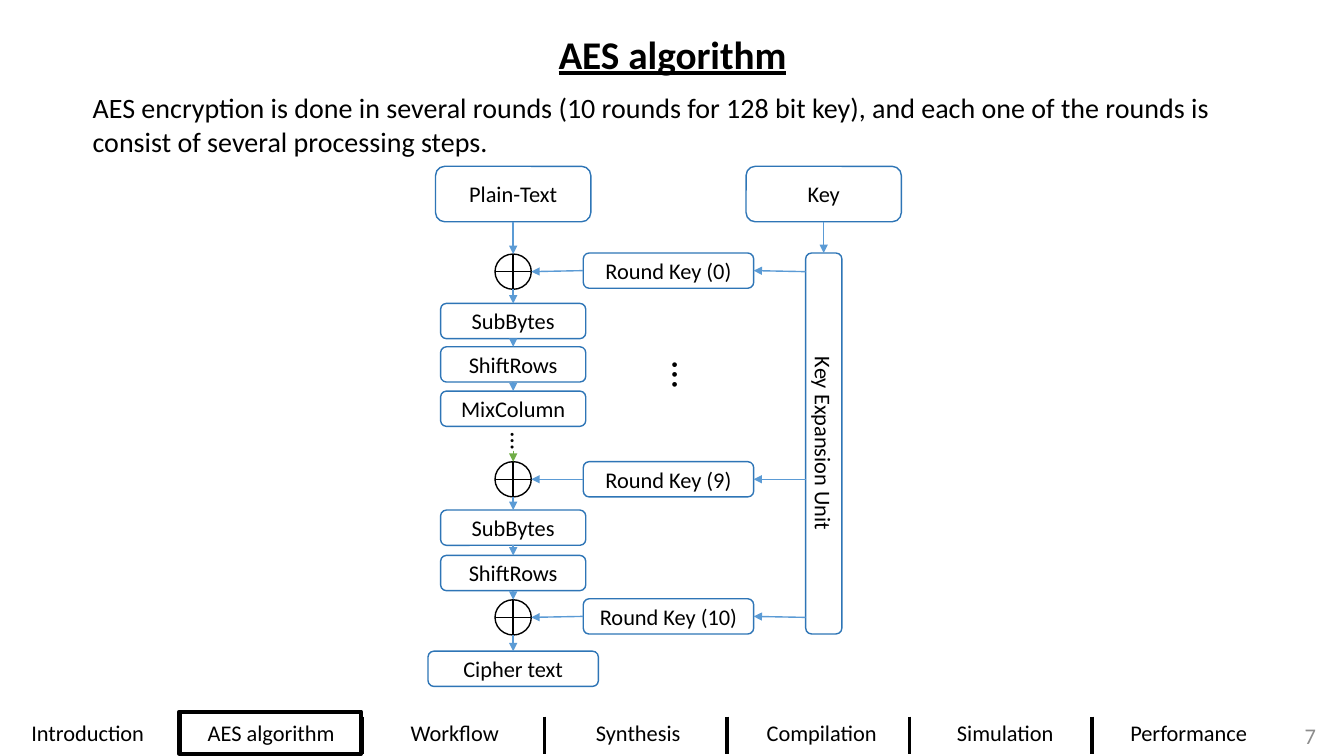
"""Build the AES algorithm slide: encryption flow, key schedule and section bar."""
import pptx
import pptx.dml.color
import pptx.enum.shapes
import pptx.enum.text
import pptx.oxml
import pptx.oxml.ns
import pptx.util

Inches = pptx.util.Inches
Pt = pptx.util.Pt
RGBColor = pptx.dml.color.RGBColor
SHAPE = pptx.enum.shapes.MSO_SHAPE
ALIGN = pptx.enum.text.PP_ALIGN
ANCHOR = pptx.enum.text.MSO_ANCHOR

BLACK = RGBColor(0x00, 0x00, 0x00)
WHITE = RGBColor(0xFF, 0xFF, 0xFF)
BOX_BLUE = RGBColor(0x2E, 0x75, 0xB6)
ARROW_BLUE = RGBColor(0x5B, 0x9B, 0xD5)
GREEN = RGBColor(0x70, 0xAD, 0x47)
GREY = RGBColor(0x8C, 0x8C, 0x8C)


def write(sp, text, size=16, align=ALIGN.CENTER, anchor=ANCHOR.MIDDLE, wrap=True, color=BLACK):
    tf = sp.text_frame
    tf.word_wrap = wrap
    tf.vertical_anchor = anchor
    p = tf.paragraphs[0]
    p.alignment = align
    r = p.add_run()
    r.text = text
    r.font.name = "Calibri"
    r.font.size = Pt(size)
    r.font.color.rgb = color
    return r


def draw_line(x1, y1, x2, y2, color=ARROW_BLUE, width=1, arrow=True):
    line = s.shapes.add_connector(pptx.enum.shapes.MSO_CONNECTOR.STRAIGHT,
                                  Inches(x1), Inches(y1), Inches(x2), Inches(y2))
    line.line.color.rgb = color
    line.line.width = Pt(width)
    if arrow:
        tail = pptx.oxml.ns.qn("a:tailEnd")
        line.line._get_or_add_ln().append(line._element.makeelement(tail, {"type": "triangle"}))
    effects = pptx.oxml.ns.qn("a:effectLst")
    line._element.spPr.append(line._element.makeelement(effects, {}))
    return line


prs = pptx.Presentation()
prs.slide_width = Inches(13.33)
prs.slide_height = Inches(7.5)
s = prs.slides.add_slide(prs.slide_layouts[5])

title = s.shapes.title
title.left, title.top, title.width, title.height = map(Inches, (4.1, 0.25, 5.14, 0.57))
r = write(title, "AES algorithm", 28, anchor=ANCHOR.TOP)
r.font.bold = True
r.font.underline = True

FLOW_X, KEY_X, BOX_H, XOR_W = 5.09, 8.17, 0.35, 0.36
boxes = {}
for name, text, center, top, width, height in [
    ("key", "Key", KEY_X, 1.65, 1.54, 0.55),
    ("plain", "Plain-Text", FLOW_X, 1.65, 1.54, 0.55),
    ("round0", "Round Key (0)", 6.63, 2.51, 1.69, BOX_H),
    ("sub1", "SubBytes", FLOW_X, 3.01, 1.44, BOX_H),
    ("shift1", "ShiftRows", FLOW_X, 3.44, 1.44, BOX_H),
    ("mix", "MixColumn", FLOW_X, 3.88, 1.44, BOX_H),
    ("round9", "Round Key (9)", 6.63, 4.58, 1.69, BOX_H),
    ("sub2", "SubBytes", FLOW_X, 5.06, 1.44, BOX_H),
    ("shift2", "ShiftRows", FLOW_X, 5.51, 1.44, BOX_H),
    ("round10", "Round Key (10)", 6.63, 5.94, 1.69, BOX_H),
    ("cipher", "Cipher text", FLOW_X, 6.46, 1.69, BOX_H),
    ("expansion", "Key Expansion Unit", KEY_X, 4.22, 3.78, 0.36),
]:
    sp = s.shapes.add_shape(SHAPE.ROUNDED_RECTANGLE, Inches(center - width / 2),
                            Inches(top), Inches(width), Inches(height))
    sp.shadow.inherit = False
    sp.fill.solid()
    sp.fill.fore_color.rgb = WHITE
    sp.line.color.rgb = BOX_BLUE
    sp.line.width = Pt(1)
    write(sp, text)
    boxes[name] = sp
boxes["expansion"].rotation = 90

for top, round_key in [(2.52, "round0"), (4.58, "round9"), (5.95, "round10")]:
    xor = s.shapes.add_shape(SHAPE.FLOWCHART_OR, Inches(FLOW_X - XOR_W / 2), Inches(top),
                             Inches(XOR_W), Inches(BOX_H))
    xor.shadow.inherit = False
    xor.fill.solid()
    xor.fill.fore_color.rgb = WHITE
    xor.line.color.rgb = BLACK
    xor.line.width = Pt(1)
    middle = top + BOX_H / 2
    draw_line(7.99, middle, 7.48, middle).end_connect(boxes[round_key], 3)
    draw_line(5.78, middle, FLOW_X + XOR_W / 2, middle).begin_connect(boxes[round_key], 1)

for start, y1, end, y2 in [
    ("plain", 2.2, None, 2.52),
    (None, 2.87, "sub1", 3.01),
    ("sub1", 3.36, "shift1", 3.44),
    ("shift1", 3.79, "mix", 3.88),
    (None, 4.93, "sub2", 5.06),
    ("sub2", 5.41, "shift2", 5.51),
    ("shift2", 5.86, None, 5.95),
    (None, 6.3, "cipher", 6.46),
]:
    line = draw_line(FLOW_X, y1, FLOW_X, y2)
    if start:
        line.begin_connect(boxes[start], 2)
    if end:
        line.end_connect(boxes[end], 0)
draw_line(KEY_X, 2.2, KEY_X, 2.51).begin_connect(boxes["key"], 2)
draw_line(FLOW_X, 4.47, FLOW_X, 4.58, GREEN, 0.5)

intro = s.shapes.add_textbox(Inches(0.82), Inches(0.85), Inches(11.61), Inches(0.77))
write(intro, "AES encryption is done in several rounds (10 rounds for 128 bit key), and each one "
      "of the rounds is consist of several processing steps.", 20, ALIGN.LEFT, ANCHOR.TOP)

for left, top, height, size in [(6.58, 3.45, 0.57, 28), (4.92, 4.24, 0.4, 18)]:
    dots = s.shapes.add_textbox(Inches(left), Inches(top), Inches(0.49), Inches(height))
    dots.rotation = 90
    write(dots, "…", size, ALIGN.LEFT, ANCHOR.TOP, wrap=False)

sections = ["Introduction", "AES algorithm", "Workflow", "Synthesis", "Compilation",
            "Simulation", "Performance"]
for i, section in enumerate(sections):
    tab = s.shapes.add_textbox(Inches(1.82 * i), Inches(7.08), Inches(1.74), Inches(0.37))
    write(tab, section)
    if i:
        x = 1.78 + 1.81 * (i - 1)
        draw_line(x, 7.11, x, 7.48, BLACK, 2.25, arrow=False)

current = s.shapes.add_shape(SHAPE.RECTANGLE, Inches(1.78), Inches(7.06), Inches(1.8), Inches(0.42))
current.shadow.inherit = False
current.fill.background()
current.line.color.rgb = BLACK
current.line.width = Pt(3)

number = s.shapes.add_textbox(Inches(12.84), Inches(7.1), Inches(0.31), Inches(0.4))
write(number, "7", align=ALIGN.RIGHT, wrap=False, color=GREY)

prs.save("out.pptx")
